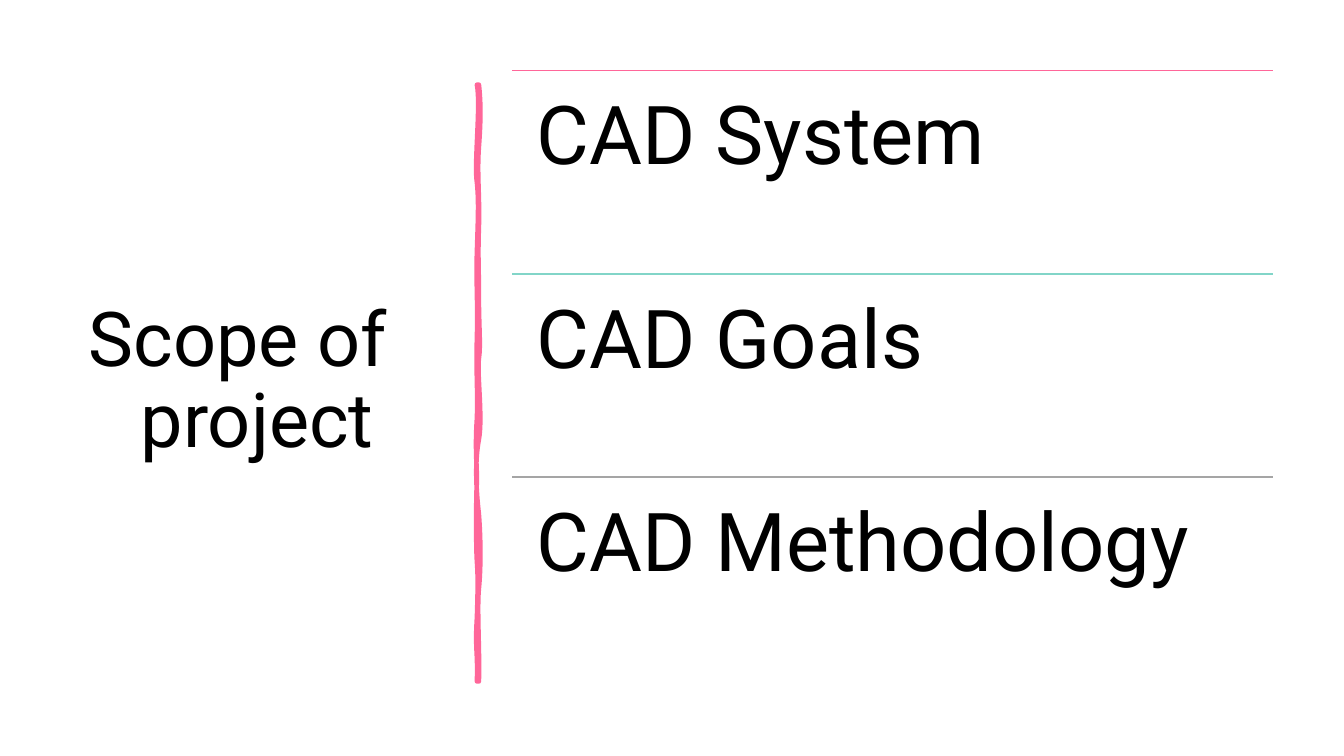
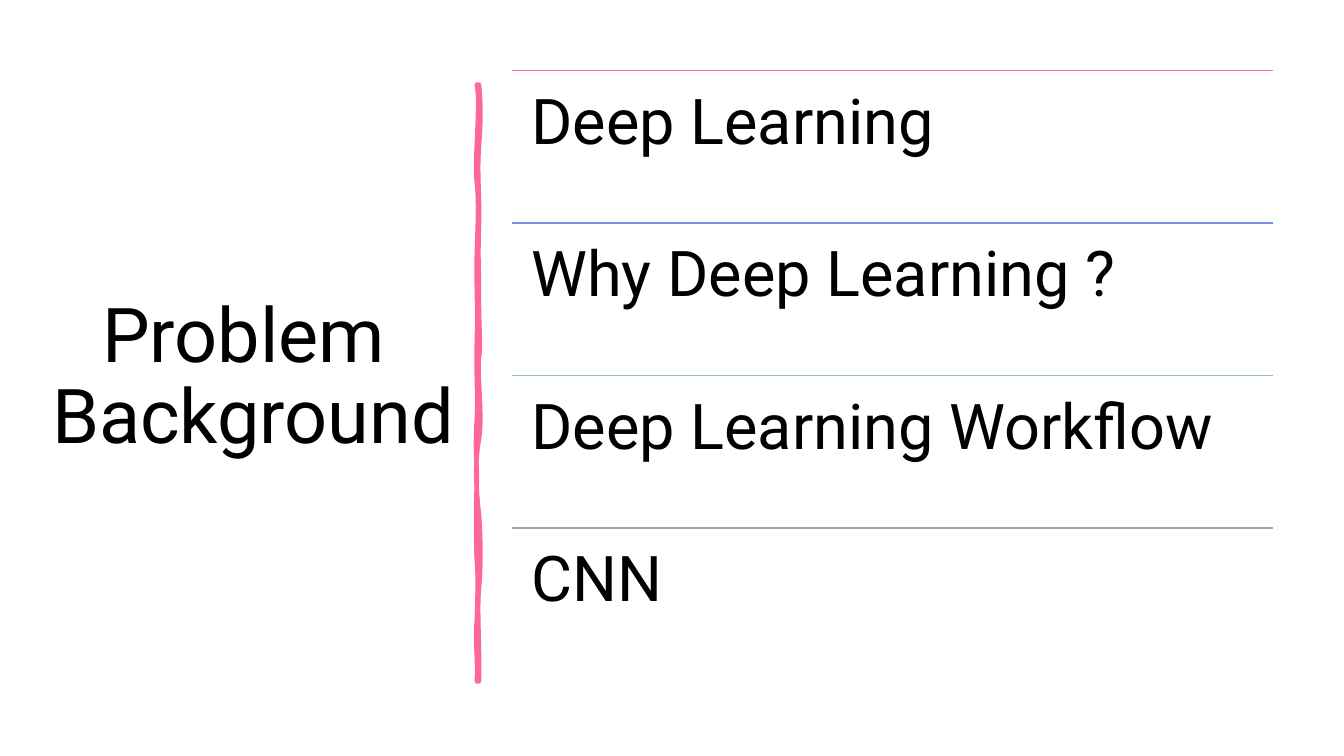
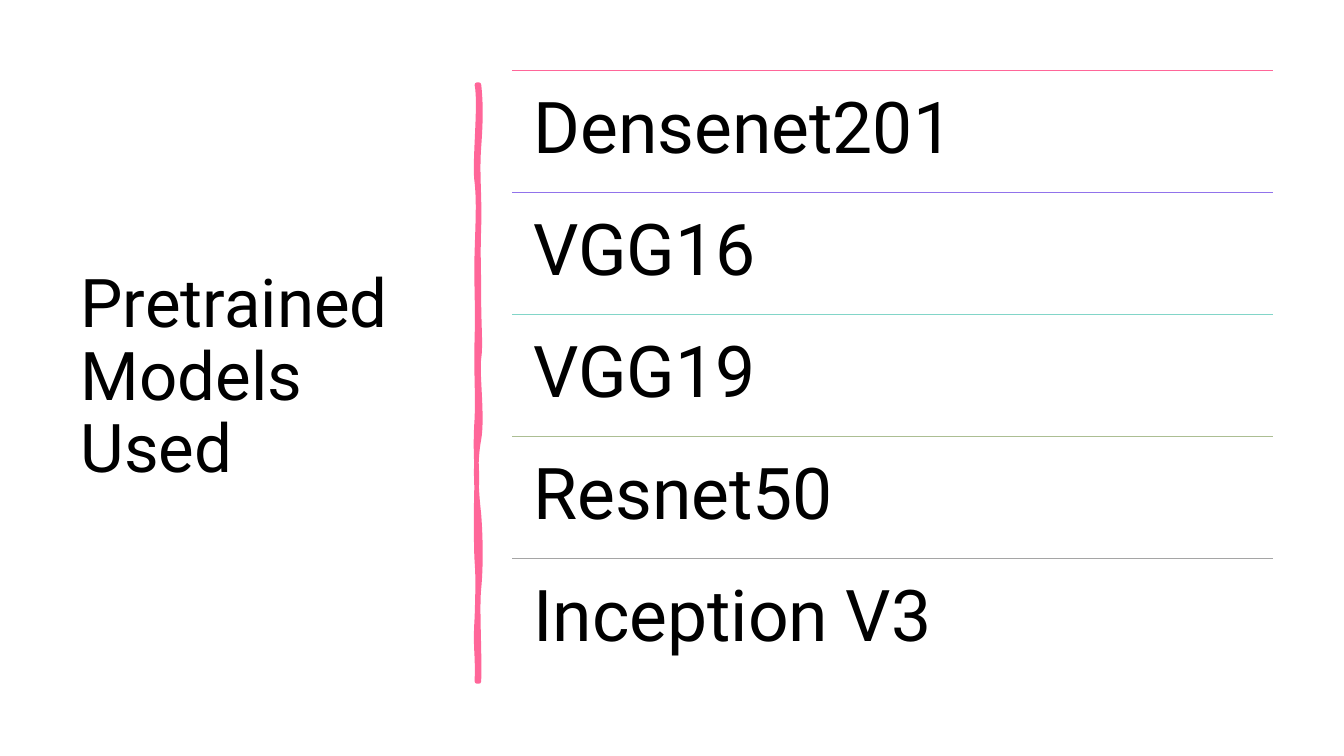
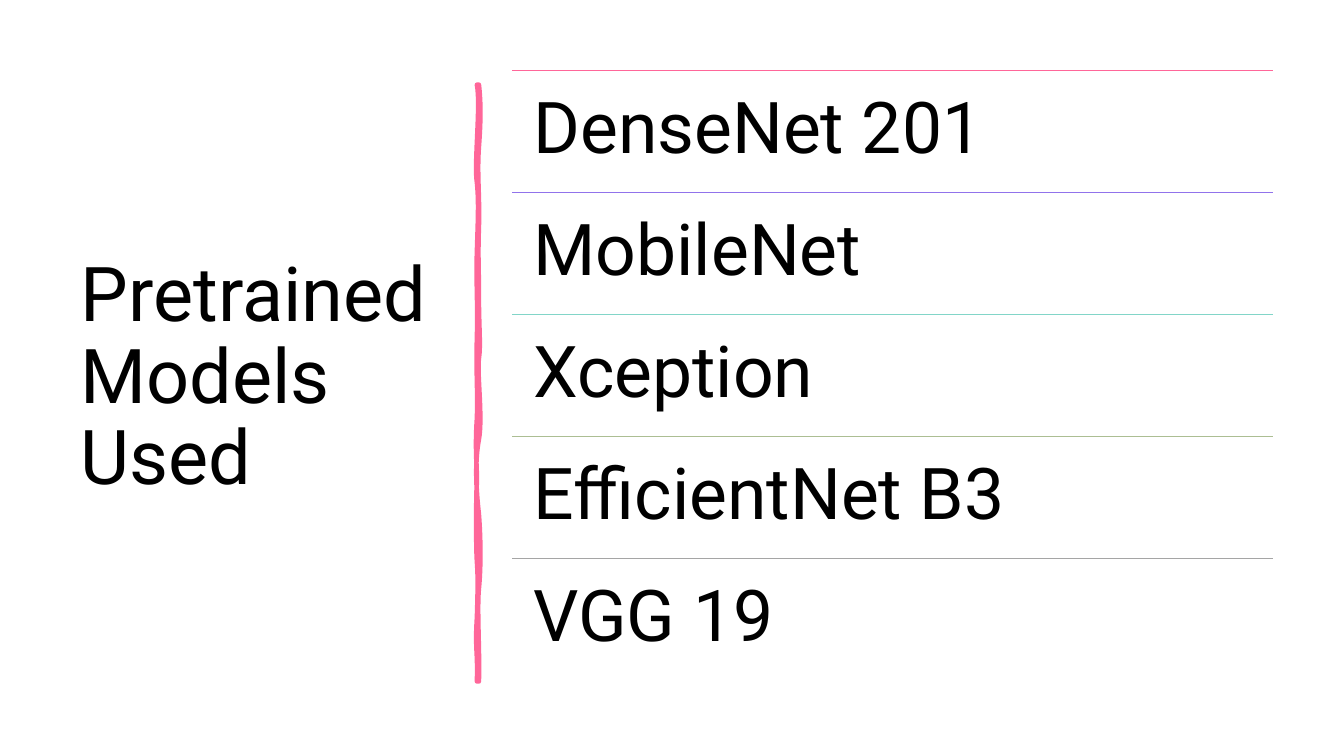
from lxml.etree import SubElement
from pptx import Presentation
from pptx.dml.color import RGBColor
from pptx.enum.shapes import MSO_CONNECTOR
from pptx.enum.text import MSO_ANCHOR, MSO_AUTO_SIZE, PP_ALIGN
from pptx.oxml.ns import qn
from pptx.util import Inches, Pt

COLORS = {
    "text": "000000", "pink": "FF6699", "violet": "9173EB", "blue": "7890E4",
    "teal": "82D5C8", "green": "93C68D", "olive": "ACBE93", "gray": "A5A5A5",
}
FONT = "Roboto"

# Agenda column: equal rows between its top and bottom
AGENDA_LEFT, AGENDA_TOP = Inches(5.08), Inches(0.7)
AGENDA_WIDTH, AGENDA_HEIGHT = Inches(7.55), Inches(6.05)
TITLE_HEIGHT = Inches(6.11)

# Hand-drawn divider: start, then two control points and an end per curve
DIVIDER_START = (4.75, 0.84)
DIVIDER_LEFT, DIVIDER_TOP = 4.73, 0.84
DIVIDER_CURVES = [
    (4.77, 1.02, 4.77, 1.19, 4.75, 1.46), (4.73, 1.73, 4.76, 1.95, 4.75, 2.26),
    (4.74, 2.57, 4.75, 2.62, 4.75, 2.94), (4.75, 3.25, 4.77, 3.42, 4.75, 3.56),
    (4.73, 3.7, 4.79, 4.14, 4.75, 4.36), (4.71, 4.57, 4.72, 4.84, 4.75, 5.1),
    (4.77, 5.36, 4.77, 5.64, 4.75, 5.84), (4.73, 6.03, 4.76, 6.5, 4.75, 6.76),
    (4.74, 6.76, 4.73, 6.76, 4.73, 6.76), (4.74, 6.46, 4.71, 6.44, 4.73, 6.13),
    (4.74, 5.83, 4.74, 5.7, 4.73, 5.57), (4.72, 5.44, 4.72, 4.95, 4.73, 4.77),
    (4.73, 4.59, 4.71, 4.45, 4.73, 4.15), (4.74, 3.86, 4.72, 3.73, 4.73, 3.35),
    (4.74, 2.98, 4.72, 2.81, 4.73, 2.5), (4.74, 2.18, 4.75, 2, 4.73, 1.81),
    (4.7, 1.63, 4.77, 1.04, 4.73, 0.84),
]

# Title lines carry a left indent in inches
SLIDES = [
    {"title": [("Scope of", 0), ("project", 0.38)], "align": PP_ALIGN.CENTER,
     "left": 0.34, "top": 0.74, "width": 4.04, "title_size": 54,
     "size": 58, "inset": 0.24,
     "agenda": [("CAD System", "pink"), ("CAD Goals", "teal"),
                ("CAD Methodology", "gray")]},
    {"title": [("Problem \vBackground", 0)], "align": PP_ALIGN.CENTER,
     "left": 0.29, "top": 0.7, "width": 4.44, "title_size": 54,
     "size": 45, "inset": 0.19,
     "agenda": [("Deep Learning", "pink"), ("Why Deep Learning ?", "blue"),
                ("Deep Learning Workflow", "green"), ("CNN", "gray")]},
    {"title": [("Pretrained Models Used", 0)], "align": PP_ALIGN.LEFT,
     "left": 0.7, "top": 0.7, "width": 3.74, "title_size": 48,
     "size": 51, "inset": 0.21,
     "agenda": [("Densenet201", "pink"), ("VGG16", "violet"), ("VGG19", "teal"),
                ("Resnet50", "olive"), ("Inception V3", "gray")]},
    {"title": [("Pretrained Models Used", 0)], "align": PP_ALIGN.LEFT,
     "left": 0.7, "top": 0.7, "width": 3.74, "title_size": 54,
     "size": 51, "inset": 0.21,
     "agenda": [("DenseNet 201", "pink"), ("MobileNet", "violet"),
                ("Xception", "teal"), ("EfficientNet B3", "olive"),
                ("VGG 19", "gray")]},
]


def rgb(name):
    return RGBColor.from_string(COLORS[name])


def style(paragraph, size, align):
    paragraph.alignment = align
    paragraph.line_spacing = 0.9
    paragraph.font.name = FONT
    paragraph.font.size = Pt(size)
    paragraph.font.color.rgb = rgb("text")


deck = Presentation()
deck.slide_width, deck.slide_height = Inches(13.33), Inches(7.5)
title_only = deck.slide_layouts[5]

for content in SLIDES:
    slide = deck.slides.add_slide(title_only)

    # Title on the left
    title = slide.shapes.title
    title.left, title.top = Inches(content["left"]), Inches(content["top"])
    title.width, title.height = Inches(content["width"]), TITLE_HEIGHT
    heading = title.text_frame
    heading.auto_size = MSO_AUTO_SIZE.NONE
    heading.vertical_anchor = MSO_ANCHOR.MIDDLE
    for number, (line, indent) in enumerate(content["title"]):
        paragraph = heading.add_paragraph() if number else heading.paragraphs[0]
        paragraph.text = line
        if indent:
            paragraph._p.get_or_add_pPr().set("marL", str(Inches(indent)))
        style(paragraph, content["title_size"], content["align"])

    # Divider: straight segments first, then each bent into its curve
    builder = slide.shapes.build_freeform(*(Inches(v) for v in DIVIDER_START))
    builder.add_line_segments(
        [(Inches(curve[4]), Inches(curve[5])) for curve in DIVIDER_CURVES], close=True)
    divider = builder.convert_to_shape()
    segments = list(divider._element.iter(qn("a:lnTo")))
    for segment, curve in zip(segments, DIVIDER_CURVES):
        outline = segment.getparent()
        bend = SubElement(outline, qn("a:cubicBezTo"))
        for x, y in zip(curve[::2], curve[1::2]):
            SubElement(bend, qn("a:pt"), x=str(Inches(x - DIVIDER_LEFT)),
                       y=str(Inches(y - DIVIDER_TOP)))
        outline.replace(segment, bend)
    divider.shadow.inherit = False
    divider.fill.solid()
    divider.fill.fore_color.rgb = rgb("pink")
    divider.line.color.rgb = rgb("pink")
    divider.line.width = Pt(3.25)
    SubElement(divider.line._get_or_add_ln(), qn("a:round"))

    # Agenda rows, each under its own rule
    row_height = AGENDA_HEIGHT // len(content["agenda"])
    for row, (topic, color) in enumerate(content["agenda"]):
        top = AGENDA_TOP + row * row_height
        rule = slide.shapes.add_connector(
            MSO_CONNECTOR.STRAIGHT, AGENDA_LEFT, top, AGENDA_LEFT + AGENDA_WIDTH, top)
        rule.line.color.rgb = rgb(color)
        rule.line.width = Pt(1)
        SubElement(rule._element.spPr, qn("a:effectLst"))

        entry = slide.shapes.add_textbox(
            AGENDA_LEFT, top, AGENDA_WIDTH, row_height).text_frame
        entry.word_wrap = True
        entry.margin_left = entry.margin_right = Inches(content["inset"])
        entry.margin_top = entry.margin_bottom = Inches(content["inset"])
        entry.text = topic
        style(entry.paragraphs[0], content["size"], PP_ALIGN.LEFT)

deck.save("out.pptx")
